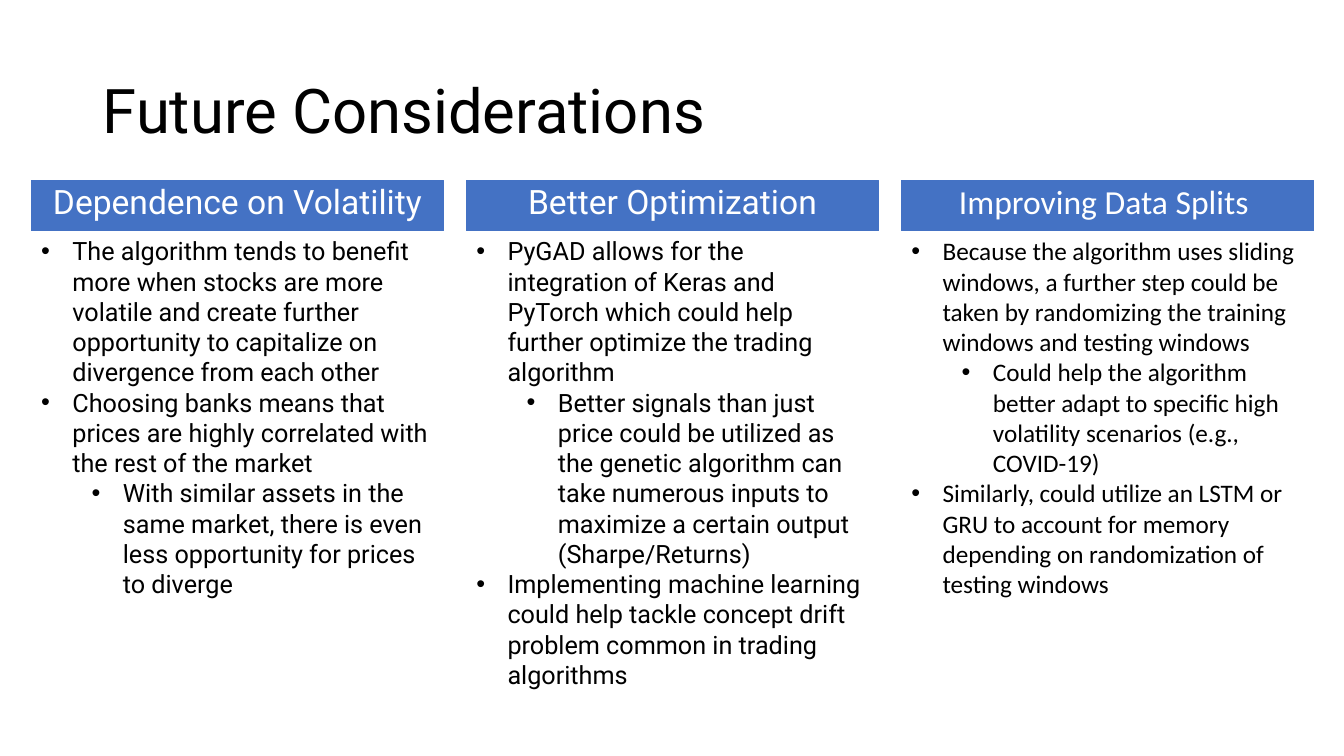
import pptx
import pptx.dml.color
import pptx.enum.shapes
import pptx.enum.text
import pptx.oxml
import pptx.util
from pptx.util import Inches

THEME = {
    "text": "000000", "header_text": "FFFFFF", "header_fill": "4472C4",
    "title_size": 44, "header_size": 24, "body_size": 18,
    "main_font": "Roboto", "alternate_font": "Calibri",
}
ANCHOR = pptx.enum.text.MSO_ANCHOR
ALIGN = pptx.enum.text.PP_ALIGN


def rgb(value):
    return pptx.dml.color.RGBColor.from_string(value)


def add_text(frame, text, *, size, font, color=THEME["text"], align=ALIGN.LEFT,
             anchor=ANCHOR.TOP, line_spacing=1.0, before=0, level=None):
    """Write one paragraph into a frame; a level makes it a bullet."""
    frame.word_wrap = True
    frame.vertical_anchor = anchor
    paragraph = frame.paragraphs[0] if not frame.text else frame.add_paragraph()
    paragraph.alignment = align
    paragraph.line_spacing = line_spacing
    paragraph.space_before = pptx.util.Pt(before)
    run = paragraph.add_run()
    run.text = text
    run.font.size = pptx.util.Pt(size)
    run.font.name = font
    run.font.color.rgb = rgb(color)
    if level is not None:
        paragraph.level = level
        properties = paragraph._p.get_or_add_pPr()
        properties.set("marL", str(Inches(0.31 + 0.5 * level)))
        properties.set("indent", str(Inches(-0.31)))
        for tag, attribute, value in (("buFont", "typeface", "Arial"),
                                      ("buChar", "char", "•")):
            bullet = pptx.oxml.parse_xml(
                f'<a:{tag} xmlns:a="http://schemas.openxmlformats.org/drawingml/2006/main"'
                f' {attribute}="{value}"/>')
            properties.append(bullet)


presentation = pptx.Presentation()
presentation.slide_width = Inches(13.33)
presentation.slide_height = Inches(7.5)
slide = presentation.slides.add_slide(presentation.slide_layouts[6])

# Title
title = slide.shapes.add_textbox(Inches(0.92), Inches(0.4), Inches(11.5), Inches(1.45))
add_text(title.text_frame, "Future Considerations", size=THEME["title_size"],
         font=THEME["main_font"], anchor=ANCHOR.MIDDLE, line_spacing=0.9)

# Considerations: heading, font, body height, (level, bullet text)
considerations = [
    ("Dependence on Volatility", THEME["main_font"], 3.74, [
        (0, "The algorithm tends to benefit more when stocks are more volatile and create "
            "further opportunity to capitalize on divergence from each other"),
        (0, "Choosing banks means that prices are highly correlated with the rest of the market"),
        (1, "With similar assets in the same market, there is even less opportunity for "
            "prices to diverge"),
    ]),
    ("Better Optimization", THEME["main_font"], 4.64, [
        (0, "PyGAD allows for the integration of Keras and PyTorch which could help further "
            "optimize the trading algorithm"),
        (1, "Better signals than just price could be utilized as the genetic algorithm can "
            "take numerous inputs to maximize a certain output (Sharpe/Returns)"),
        (0, "Implementing machine learning could help tackle concept drift problem common "
            "in trading algorithms"),
    ]),
    ("Improving Data Splits ", THEME["alternate_font"], 3.74, [
        (0, "Because the algorithm uses sliding windows, a further step could be taken by "
            "randomizing the training windows and testing windows"),
        (1, "Could help the algorithm better adapt to specific high volatility scenarios "
            "(e.g., COVID-19)"),
        (0, "Similarly, could utilize an LSTM or GRU to account for memory depending on "
            "randomization of testing windows"),
    ]),
]

# Three equal columns, each a header bar above its bullets
column_width = Inches(4.09)
column_gap = Inches(0.225)
header_top, header_height = Inches(1.79), Inches(0.5)

for index, (heading, font, body_height, points) in enumerate(considerations):
    left = Inches(0.31) + index * (column_width + column_gap)

    header = slide.shapes.add_shape(pptx.enum.shapes.MSO_SHAPE.RECTANGLE,
                                    left, header_top, column_width, header_height)
    header.shadow.inherit = False
    header.fill.solid()
    header.fill.fore_color.rgb = rgb(THEME["header_fill"])
    header.line.color.rgb = rgb(THEME["header_fill"])
    header.line.width = pptx.util.Pt(0.75)
    add_text(header.text_frame, heading, size=THEME["header_size"], font=font,
             color=THEME["header_text"], align=ALIGN.CENTER, line_spacing=0.9, before=10)

    body = slide.shapes.add_textbox(left, header_top + header_height,
                                    column_width, Inches(body_height))
    body.text_frame.auto_size = pptx.enum.text.MSO_AUTO_SIZE.SHAPE_TO_FIT_TEXT
    for level, point in points:
        add_text(body.text_frame, point, size=THEME["body_size"], font=font, level=level)

presentation.save("out.pptx")
